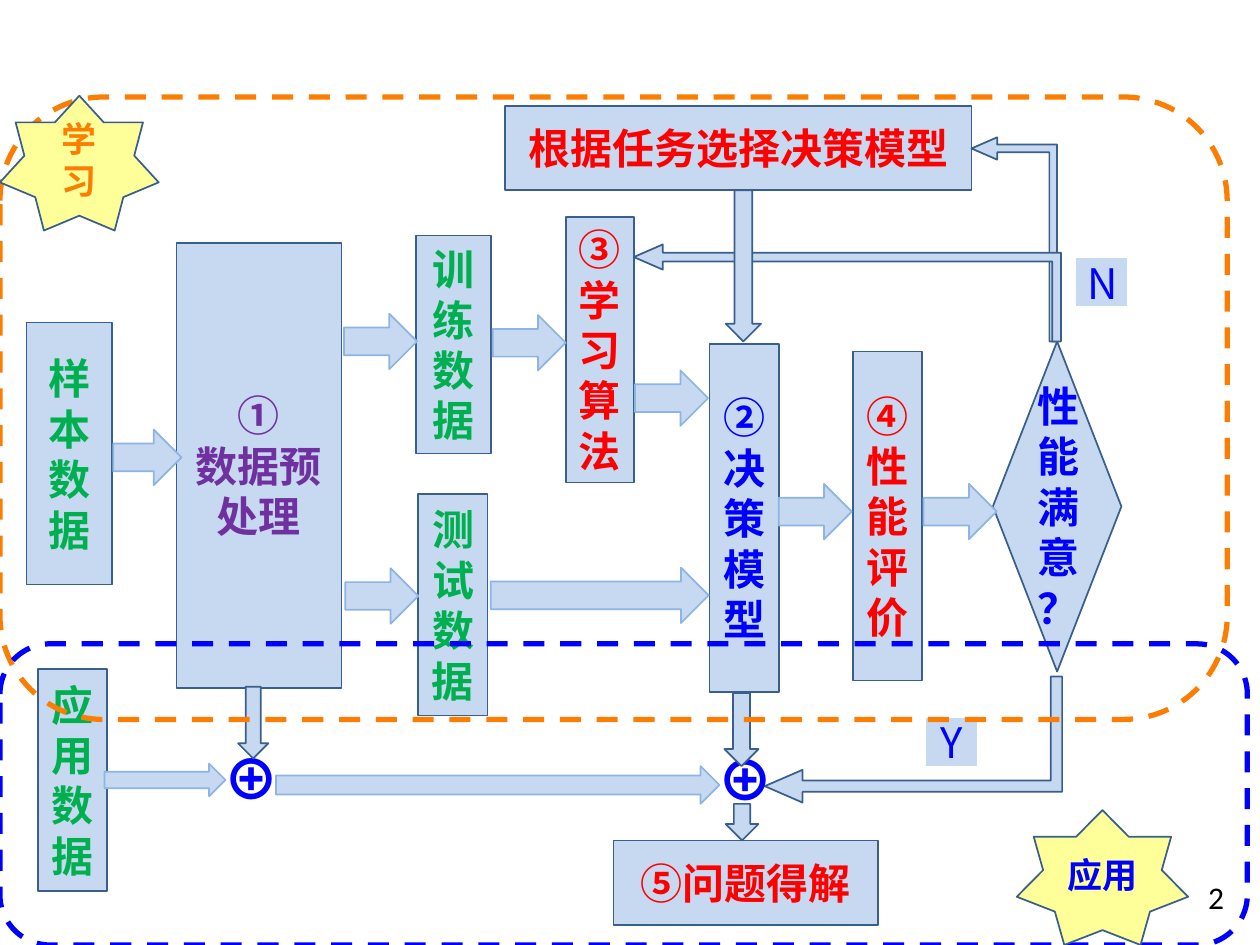
from lxml.etree import SubElement
from pptx import Presentation
from pptx.dml.color import RGBColor
from pptx.enum.dml import MSO_LINE
from pptx.enum.shapes import MSO_SHAPE
from pptx.enum.text import MSO_ANCHOR, PP_ALIGN
from pptx.oxml.ns import qn
from pptx.util import Pt

SCALE = 9144
CJK_FONT = "Noto Sans CJK SC"
PALE, NAVY, SKY = "C6D9F1", "3A5F8C", "8EB4E3"
GREEN, RED, BLUE, PURPLE = "00B050", "FF0000", "0000FF", "7030A0"
ORANGE, YELLOW, WHITE = "FB7E03", "FFFF99", "FFFFFF"


def write_text(shape, text, size, color, bold=True, align=PP_ALIGN.CENTER, font=CJK_FONT):
    frame = shape.text_frame
    frame.word_wrap = True
    frame.text = text
    for paragraph in frame.paragraphs:
        paragraph.alignment = align
        paragraph.line_spacing = Pt(size * 1.2)
        run = paragraph.runs[0]
        values = {"size": Pt(size), "bold": bold, "name": font}
        for name, value in values.items():
            setattr(run.font, name, value)
        run.font.color.rgb = RGBColor.from_string(color)
        SubElement(run.font._element, qn("a:ea")).set("typeface", font)


def draw_shape(kind, frame, fill, line, width=1, rotation=0):
    shape = slide.shapes.add_shape(kind, *[length * SCALE for length in frame])
    shape.shadow.inherit = False
    shape.rotation = rotation
    if fill:
        shape.fill.solid()
        shape.fill.fore_color.rgb = RGBColor.from_string(fill)
    else:
        shape.fill.background()
    shape.line.color.rgb = RGBColor.from_string(line)
    shape.line.width = Pt(width)
    shape.text_frame.vertical_anchor = MSO_ANCHOR.MIDDLE
    return shape


presentation = Presentation()
presentation.slide_width = 1000 * SCALE
presentation.slide_height = 750 * SCALE
slide = presentation.slides.add_slide(presentation.slide_layouts[6])

page_number = slide.shapes.add_textbox(*[length * SCALE for length in (949, 692, 233, 40)])
write_text(page_number, "2", 18, "000000", False, PP_ALIGN.LEFT, "Calibri")

steps = [
    ("样本数据", (21, 256, 68, 208), GREEN),
    ("训练数据", (330, 187, 60, 173), GREEN),
    ("测试数据", (332, 392, 55, 176), GREEN),
    ("应用数据", (30, 531, 55, 176), GREEN),
    ("根据任务选择决策模型", (401, 84, 370, 67), RED),
    ("①\n数据预处理", (140, 193, 131, 353), PURPLE),
    ("③学习算法", (449, 172, 54, 211), RED),
    ("②决策模型", (563, 273, 55, 276), BLUE),
    ("④性能评价", (677, 279, 55, 261), RED),
    ("⑤问题得解", (487, 667, 210, 67), RED),
]
for text, frame, color in steps:
    step = draw_shape(MSO_SHAPE.FLOWCHART_PROCESS, frame, PALE, NAVY)
    write_text(step, text, 24, color)

decision = draw_shape(MSO_SHAPE.FLOWCHART_DECISION, (788, 271, 102, 262), PALE, NAVY)
write_text(decision, "性能满意？", 24, BLUE)

right_arrows = [
    (95, 336, 44, 54),
    (280, 242, 44, 58),
    (281, 444, 44, 58),
    (398, 243, 44, 58),
    (511, 287, 44, 58),
    (454, 386, 44, 173),
    (625, 377, 44, 58),
    (740, 377, 44, 58),
    (118, 571, 26, 96),
    (380, 447, 30, 352),
]
for frame in right_arrows:
    draw_shape(MSO_SHAPE.DOWN_ARROW, frame, PALE, SKY, rotation=270)

feedback_arrows = [
    ((724, 156, 162, 68), 270, False),
    ((634, 63, 77, 339), 270, False),
    ((675, 469, 100, 236), 90, True),
]
for frame, rotation, flipped in feedback_arrows:
    arrow = draw_shape(MSO_SHAPE.BENT_UP_ARROW, frame, PALE, NAVY, rotation=rotation)
    for index, value in enumerate((0.09, 0.13, 0.3)):
        arrow.adjustments[index] = value
    if flipped:
        arrow._element.spPr.xfrm.set("flipV", "1")

for left, top in ((157, 586), (549, 587)):
    operator = slide.shapes.add_textbox(*[length * SCALE for length in (left, top, 85, 64)])
    write_text(operator, "⊕", 32, BLUE)

down_arrows = [(189, 545, 24, 57), (575, 550, 27, 58), (576, 151, 28, 120), (576, 638, 26, 29)]
for frame in down_arrows:
    draw_shape(MSO_SHAPE.DOWN_ARROW, frame, PALE, NAVY)

for text, left, top in (("Y", 734, 569), ("N", 853, 204)):
    answer = draw_shape(MSO_SHAPE.RECTANGLE, (left, top, 42, 40), PALE, WHITE)
    write_text(answer, text, 24, BLUE, False)

phases = [
    ("学习", (0, 77, 974, 494), (0, 76, 126, 107), ORANGE),
    ("应用", (0, 511, 990, 239), (807, 643, 136, 107), BLUE),
]
for text, outline_frame, star_frame, color in phases:
    outline = draw_shape(MSO_SHAPE.ROUNDED_RECTANGLE, outline_frame, None, color, 3)
    outline.line.dash_style = MSO_LINE.DASH
for text, outline_frame, star_frame, color in phases:
    star = draw_shape(MSO_SHAPE.STAR_7_POINT, star_frame, YELLOW, NAVY)
    write_text(star, text, 20, color)

presentation.save("out.pptx")
